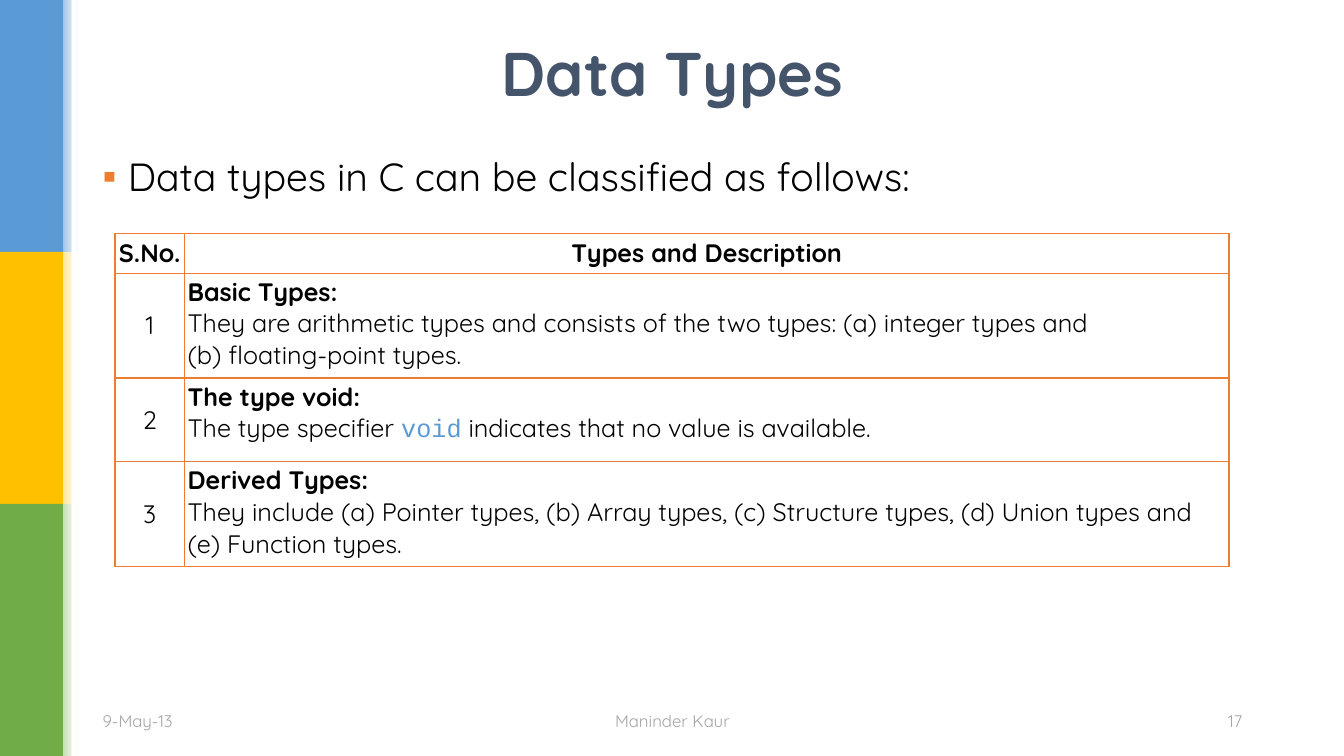
from lxml.etree import SubElement
from pptx import Presentation
from pptx.dml.color import RGBColor
from pptx.enum.shapes import MSO_SHAPE as SHAPE
from pptx.enum.text import MSO_ANCHOR as ANCHOR, PP_ALIGN as ALIGN
from pptx.oxml.ns import qn
from pptx.util import Inches, Pt

BLUE = RGBColor(0x5B, 0x9B, 0xD5)
GOLD = RGBColor(0xFF, 0xC0, 0x00)
GREEN = RGBColor(0x70, 0xAD, 0x47)
PALE_BLUE = RGBColor(0x9D, 0xC3, 0xE6)
PALE_GOLD = RGBColor(0xFF, 0xE6, 0x99)
PALE_GREEN = RGBColor(0xC5, 0xE0, 0xB4)
ORANGE = RGBColor(0xED, 0x7D, 0x31)
SLATE = RGBColor(0x44, 0x54, 0x6A)
GRAY = RGBColor(0xA5, 0xA5, 0xA5)
BLACK = RGBColor(0, 0, 0)
WHITE = RGBColor(0xFF, 0xFF, 0xFF)
FONT, CODE_FONT = "Quicksand", "Courier New"
WIDTH, HEIGHT = 13.33, 7.5
LEFT, CONTENT_WIDTH = 0.92, 11.5
HEADER = ("S.No.", "Types and Description")
TYPES = [
    ("Basic Types:", ["They are arithmetic types and consists of the two types: "
                      "(a) integer types and \v(b) floating-point types."]),
    ("The type void:", ["The type specifier ", "void",
                        " indicates that no value is available."]),
    ("Derived Types:", ["They include (a) Pointer types, (b) Array types, "
                        "(c) Structure types, (d) Union types and (e) Function types."]),
]


def style_run(r, size, color=BLACK, bold=False, font=FONT):
    """Set the font of one run."""
    r.font.name, r.font.size, r.font.bold = font, Pt(size), bold
    r.font.color.rgb = color


def add_text(slide, box, text, size, color, align=ALIGN.LEFT, anchor=ANCHOR.MIDDLE, bold=False):
    """Add a one-paragraph text box and return its paragraph."""
    tf = slide.shapes.add_textbox(*map(Inches, box)).text_frame
    tf.word_wrap, tf.vertical_anchor = True, anchor
    p = tf.paragraphs[0]
    p.text, p.alignment = text, align
    style_run(p.runs[0], size, color, bold)
    return p


def add_bar(slide, box, color, fade=False):
    """Add a borderless rectangle, plain or fading to white."""
    sp = slide.shapes.add_shape(SHAPE.RECTANGLE, *map(Inches, box))
    sp.shadow.inherit = False
    sp.line.fill.background()
    if fade:
        sp.fill.gradient()
        sp.fill.gradient_angle = 0
        for stop, rgb in zip(sp.fill.gradient_stops, (color, WHITE)):
            stop.color.rgb = rgb
    else:
        sp.fill.solid()
        sp.fill.fore_color.rgb = color


def add_side_band(slide, x, y, width, height):
    """Draw the tricolour band with its faded edge."""
    colors = [(BLUE, PALE_BLUE), (GOLD, PALE_GOLD), (GREEN, PALE_GREEN)]
    step, solid = height / len(colors), width * 0.8
    for i, (color, pale) in enumerate(colors):
        add_bar(slide, (x, y + i * step, solid, step), color)
        add_bar(slide, (x + solid, y + i * step, width - solid, step), pale, fade=True)
    add_bar(slide, (x + width * 0.91, y, width * 0.06, height), WHITE)


def add_bullet(slide, box, text):
    """Add the bulleted lead sentence."""
    p = add_text(slide, box, text, 28, BLACK, anchor=ANCHOR.TOP)
    p.line_spacing = 0.9
    pPr = p._p.get_or_add_pPr()
    pPr.set("marL", str(Inches(0.25)))
    pPr.set("indent", str(-Inches(0.25)))
    SubElement(SubElement(pPr, qn("a:buClr")), qn("a:srgbClr"), val=str(ORANGE))
    SubElement(pPr, qn("a:buFont"), typeface="Arial")
    SubElement(pPr, qn("a:buChar"), char="▪")


def format_cell(cell, anchor):
    """Give a cell thin margins, orange borders and no fill."""
    cell.margin_left = cell.margin_right = Inches(0.03)
    cell.margin_top = cell.margin_bottom = Inches(0.03)
    cell.vertical_anchor = anchor
    tcPr = cell._tc.get_or_add_tcPr()
    for side in ("lnL", "lnR", "lnT", "lnB"):
        ln = SubElement(tcPr, qn(f"a:{side}"), w=str(Pt(1)))
        SubElement(SubElement(ln, qn("a:solidFill")), qn("a:srgbClr"), val=str(ORANGE))
    cell.fill.background()


def fill_label(cell, text, anchor, bold=False):
    """Write a centred label into a cell."""
    format_cell(cell, anchor)
    p = cell.text_frame.paragraphs[0]
    p.text, p.alignment = text, ALIGN.CENTER
    style_run(p.runs[0], 18, bold=bold)


def fill_description(cell, name, parts):
    """Write a bold type name and its description into a cell."""
    format_cell(cell, ANCHOR.TOP)
    p = cell.text_frame.paragraphs[0]
    p.text = name + "\v" + parts[0]
    for part in parts[1:]:
        p.add_run().text = part
    for r in p.runs:
        if r.text == "void":
            style_run(r, 18, BLUE, font=CODE_FONT)
        else:
            style_run(r, 18, bold=r.text == name)


def add_types_table(slide, x, y, width, height):
    """Add the table of data types."""
    shape = slide.shapes.add_table(len(TYPES) + 1, 2, *map(Inches, (x, y, width, height)))
    table = shape.table
    table.first_row = table.horz_banding = False
    number_width = 0.69
    for column, w in zip(table.columns, (number_width, width - number_width)):
        column.width = Inches(w)
    for row, h in zip(table.rows, (0.39, 1.04, 0.83, 1.04)):
        row.height = Inches(h)
    for i, text in enumerate(HEADER):
        fill_label(table.cell(0, i), text, ANCHOR.TOP, bold=True)
    for i, (name, parts) in enumerate(TYPES, 1):
        fill_label(table.cell(i, 0), str(i), ANCHOR.MIDDLE)
        fill_description(table.cell(i, 1), name, parts)


def add_footer(slide, x, y, width, height):
    """Add date, author and page number along the bottom."""
    side, middle = 3.58, 3.17
    add_text(slide, (x, y, side, height), "9-May-13", 12, GRAY)
    add_text(slide, (x + (width - middle) / 2, y, middle, height),
             "Maninder Kaur", 12, GRAY, ALIGN.CENTER)
    add_text(slide, (x + width - side, y, side, height), "17", 12, GRAY, ALIGN.RIGHT)


def main():
    """Build and save the slide."""
    prs = Presentation()
    prs.slide_width, prs.slide_height = Inches(WIDTH), Inches(HEIGHT)
    slide = prs.slides.add_slide(prs.slide_layouts[6])
    add_side_band(slide, 0, 0, 0.78, HEIGHT)
    add_bullet(slide, (LEFT, 1.51, CONTENT_WIDTH, 5.25),
               "Data types in C can be classified as follows:")
    add_text(slide, (LEFT, 0.17, CONTENT_WIDTH, 1.09), "Data Types", 44, SLATE,
             ALIGN.CENTER, bold=True)
    add_footer(slide, LEFT, 6.95, CONTENT_WIDTH, 0.4)
    add_types_table(slide, 1.14, 2.32, 11.05, 3.3)
    prs.save("out.pptx")


if __name__ == "__main__":
    main()
